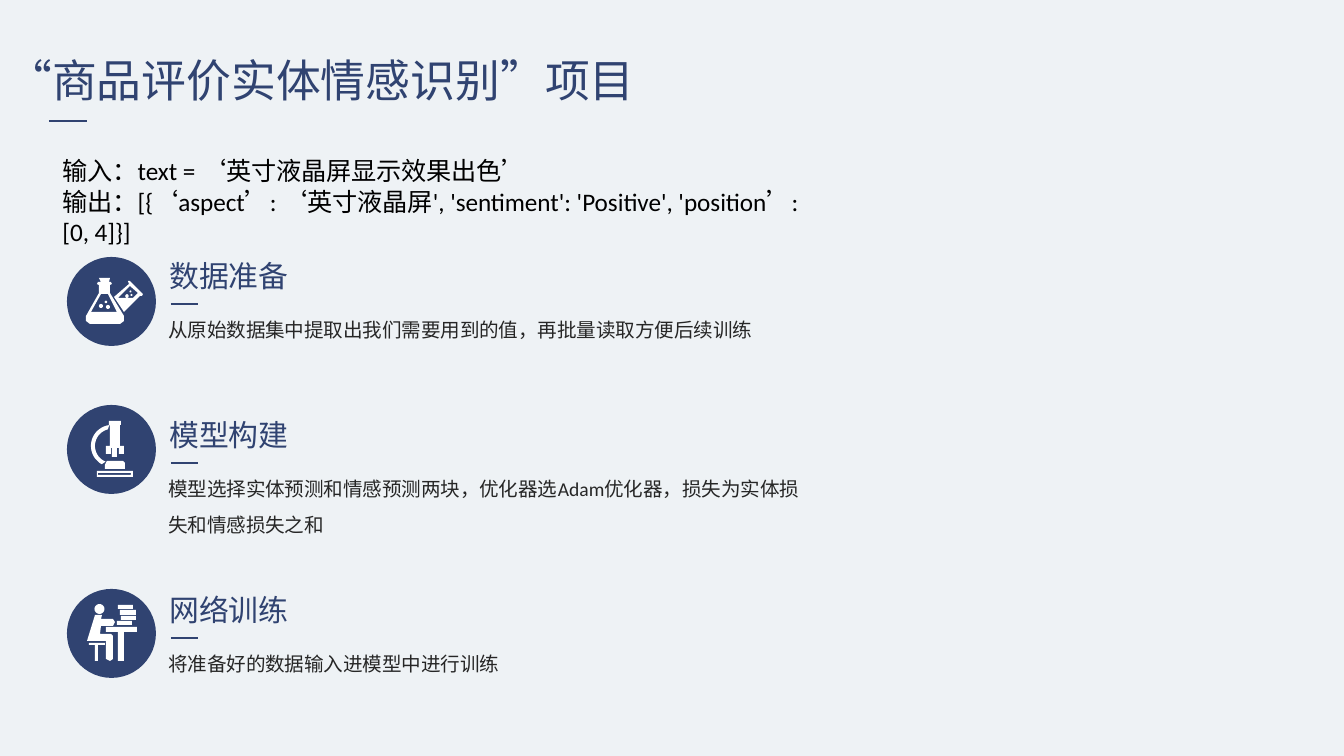
from math import cos, radians, sin

from lxml.etree import SubElement
from pptx import Presentation
from pptx.dml.color import RGBColor
from pptx.enum.shapes import MSO_CONNECTOR, MSO_SHAPE
from pptx.enum.text import MSO_ANCHOR, MSO_AUTO_SIZE, PP_ALIGN
from pptx.oxml.ns import qn
from pptx.util import Pt

PX = 914400 / 134.4
COLORS = {"background": "EEF2F5", "navy": "304371", "body": "262626",
          "black": "000000", "white": "FFFFFF"}
CJK, LATIN = "Noto Sans CJK SC", "Calibri"

TITLE = "“商品评价实体情感识别”项目"
EXAMPLE = [
    "输入：text = ‘英寸液晶屏显示效果出色’",
    "输出：[{‘aspect’: ‘英寸液晶屏', 'sentiment': 'Positive', 'position’: [0, 4]}]",
]


def px(value):
    return round(value * PX)


def color(name):
    return RGBColor.from_string(COLORS[name])


def box(left, top, right, bottom):
    return [(left, top), (right, top), (right, bottom), (left, bottom)]


def arc(x, y, radius, start, end, step):
    return [(x + radius * cos(radians(angle)), y - radius * sin(radians(angle)))
            for angle in range(start, end, step)]


def disc(x, y, radius):
    return arc(x, y, radius, 0, 360, 20)


# Each icon is a list of closed outlines; an outline inside another cuts a hole.
FLASKS = [
    [(99, 278), (110, 278), (109, 282), (111, 282), (112, 284), (110, 285),
     (110, 293), (124, 316), (124, 321), (120, 324), (90, 324), (86, 321),
     (86, 316), (99, 293), (99, 285), (97, 284), (98, 282), (101, 282)],
    [(91, 312), (101, 294), (108, 294), (117, 312)],
    disc(108, 307, 2), disc(101, 306, 2), disc(106, 302, 1.3),
    [(124, 312), (114, 297), (129, 284), (128, 281), (130, 281), (143, 294),
     (142, 296), (140, 296)],
    [(138, 293), (130, 286), (118, 298), (133, 298)],
    disc(127, 296, 1.7), disc(130.5, 291.5, 1), disc(131.5, 295, 1),
]
MICROSCOPE = [
    [(109, 421), (121, 421), (121, 425), (120, 425), (120, 446), (124, 446),
     (124, 448), (106, 448), (106, 446), (110, 446), (110, 425), (109, 425)],
    arc(112, 446, 21, 97, 249, 8) + arc(112, 446, 17, 248, 96, -8),
    box(106, 448, 111, 454), box(112, 448, 117, 457), box(119, 448, 124, 454),
    [(107, 461), (123, 461), (125, 463), (125, 469), (105, 469), (105, 465)],
    box(97, 471, 133, 477), box(98, 473, 131, 475),
]
STUDENT = [
    disc(99.5, 609, 5),
    [(95, 615), (102, 615), (101, 619), (113, 619), (115, 622), (113, 626),
     (101, 626), (100, 634), (111, 634), (113, 636), (113, 659), (110, 661),
     (106, 659), (106, 641), (87, 641)],
    [(106, 627), (137, 627), (137, 632), (124, 632), (124, 661), (118, 661),
     (118, 632), (106, 632)],
    [(89, 643), (105, 643), (105, 645), (98, 645), (98, 661), (95, 661),
     (95, 645), (89, 645)],
    box(117, 621, 132, 625), box(121, 616, 136, 620),
    box(120, 610, 136, 615), box(118, 605, 133, 609),
]

# heading, description, heading top, circle top, description width and height, icon
STEPS = [
    ("数据准备", "从原始数据集中提取出我们需要用到的值，再批量读取方便后续训练",
     251, 257, 626, 46, FLASKS),
    ("模型构建", "模型选择实体预测和情感预测两块，优化器选Adam优化器，损失为实体损失和情感损失之和",
     410, 405, 660, 81, MICROSCOPE),
    ("网络训练", "将准备好的数据输入进模型中进行训练",
     585, 589, 609, 46, STUDENT),
]


def place(shape, left, top, width, height):
    shape.left, shape.top = px(left), px(top)
    shape.width, shape.height = px(width), px(height)


def write(shape, text, size, font, color_name, align=PP_ALIGN.LEFT, wrap=True, spacing=1):
    frame = shape.text_frame
    frame.text = text
    frame.word_wrap = wrap
    frame.auto_size = MSO_AUTO_SIZE.SHAPE_TO_FIT_TEXT
    for paragraph in frame.paragraphs:
        paragraph.alignment = align
        paragraph.line_spacing = spacing
        paragraph.space_before = Pt(0)
        for run in paragraph.runs:
            run.font.size = Pt(size)
            run.font.name = font
            run.font.color.rgb = color(color_name)
            properties = run.font._element
            properties.set("lang", "zh-CN")
            SubElement(properties, qn("a:ea")).set("typeface", CJK)


def remove_bullets(shape):
    for paragraph in shape.text_frame.paragraphs:
        properties = paragraph._p.get_or_add_pPr()
        properties.set("marL", "0")
        properties.set("indent", "0")
        SubElement(properties, qn("a:buNone"))


def add_text(slide, left, top, width, height, *style, **options):
    shape = slide.shapes.add_textbox(px(left), px(top), px(width), px(height))
    write(shape, *style, **options)


def add_underline(slide, left, right, y):
    line = slide.shapes.add_connector(
        MSO_CONNECTOR.STRAIGHT, px(left), px(y), px(right), px(y))
    line.line.color.rgb = color("navy")
    line.line.width = Pt(1.5)
    SubElement(line._element.spPr, qn("a:effectLst"))


def paint(shape, color_name):
    shape.shadow.inherit = False
    shape.fill.solid()
    shape.fill.fore_color.rgb = color(color_name)
    shape.line.fill.background()


def add_icon(slide, outlines):
    """Draw all outlines as one shape, on a grid of tenths of a px."""
    grid = [[(x * 10, y * 10) for x, y in outline] for outline in outlines]
    builder = slide.shapes.build_freeform(*grid[0][0], scale=PX / 10)
    builder.add_line_segments(grid[0][1:])
    for outline in grid[1:]:
        builder.move_to(*outline[0])
        builder.add_line_segments(outline[1:])
    paint(builder.convert_to_shape(), "white")


def add_step(slide, heading, description, top, circle_top, width, height, icon):
    text_top = top + 49
    add_text(slide, 155, top, 148, 50, heading, 16, CJK, "navy",
             align=PP_ALIGN.CENTER, wrap=False)
    add_text(slide, 155, text_top, width, height, description, 10.5, LATIN, "body",
             spacing=1.5)
    add_underline(slide, 171, 198, text_top + 4)
    circle = slide.shapes.add_shape(
        MSO_SHAPE.OVAL, px(67), px(circle_top), px(89), px(89))
    paint(circle, "navy")
    add_icon(slide, icon)


def main():
    presentation = Presentation()
    presentation.slide_width, presentation.slide_height = px(1344), px(756)
    slide = presentation.slides.add_slide(presentation.slide_layouts[1])
    slide.background.fill.solid()
    slide.background.fill.fore_color.rgb = color("background")

    title, example = slide.placeholders
    place(title, -9, 46, 660, 67)
    write(title, TITLE, 24, CJK, "navy", align=PP_ALIGN.CENTER, wrap=False)
    title.text_frame.vertical_anchor = MSO_ANCHOR.MIDDLE
    add_underline(slide, 49, 87, 121)

    place(example, 49, 149, 781, 75)
    write(example, "\n".join(EXAMPLE), 13.5, LATIN, "black")
    remove_bullets(example)

    for step in STEPS:
        add_step(slide, *step)
    presentation.save("out.pptx")


if __name__ == "__main__":
    main()
